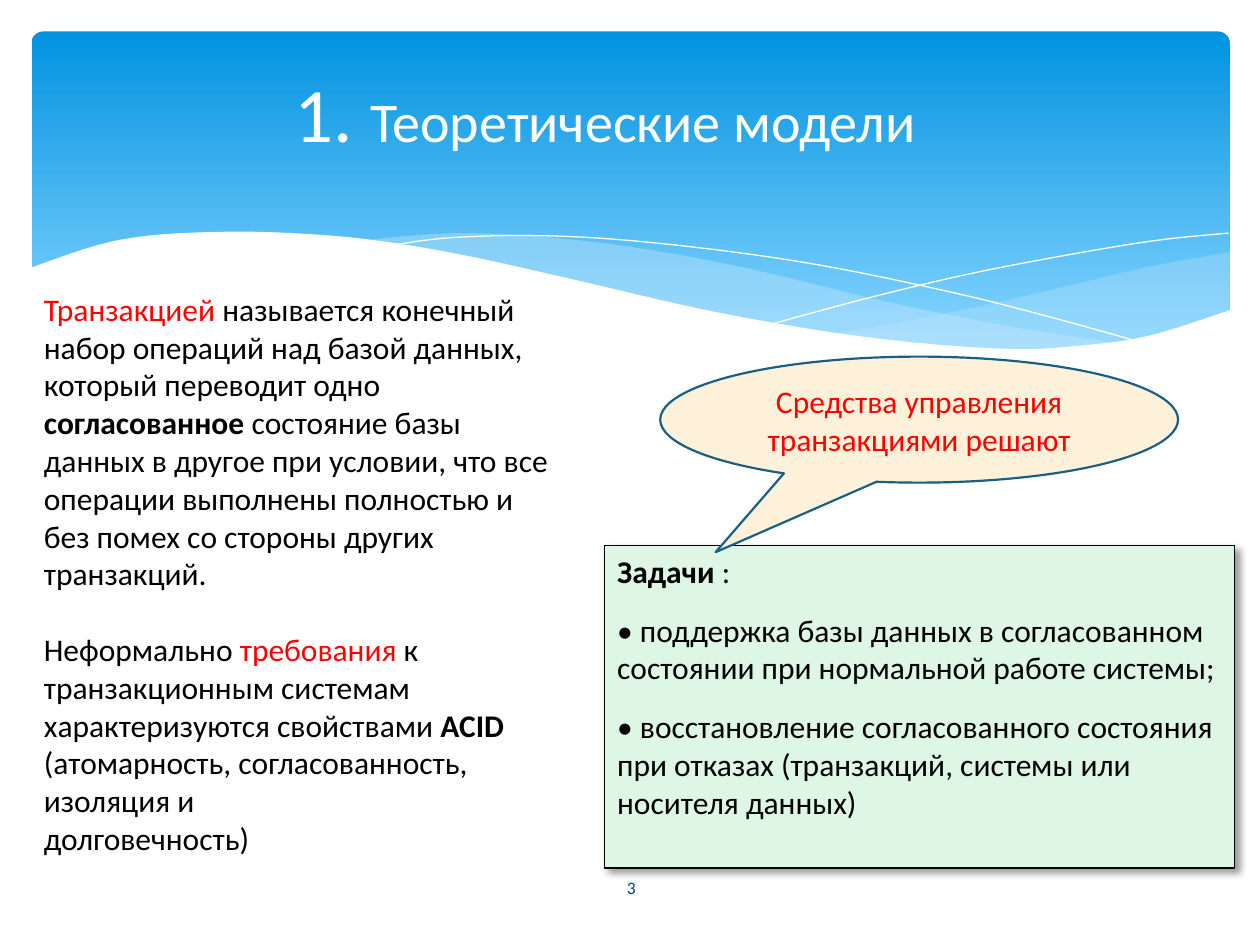
from dataclasses import dataclass

from lxml.etree import SubElement
from pptx import Presentation
from pptx.dml.color import RGBColor as RGB
from pptx.enum.shapes import MSO_SHAPE as SHAPE
from pptx.enum.text import MSO_ANCHOR as ANCHOR, PP_ALIGN as ALIGN
from pptx.oxml.ns import qn
from pptx.util import Pt


@dataclass(frozen=True)
class Theme:
    font: str = "Calibri"
    numeral_size: int = 44
    title_size: int = 32
    body_size: int = 18
    page_size: int = 10
    sky_top: RGB = RGB(0x02, 0x93, 0xE0)
    sky_bottom: RGB = RGB(0x83, 0xD3, 0xFE)
    wave: RGB = RGB(0xC6, 0xE7, 0xFC)
    white: RGB = RGB(255, 255, 255)
    black: RGB = RGB(0, 0, 0)
    red: RGB = RGB(255, 0, 0)
    page: RGB = RGB(0x07, 0x3E, 0x87)
    tasks: RGB = RGB(0xDE, 0xF6, 0xE4)
    callout: RGB = RGB(0xFD, 0xF2, 0xD9)
    callout_line: RGB = RGB(0x19, 0x5F, 0x84)


THEME = Theme()
RED = {"color": THEME.red}
BOLD = {"bold": True}

RIGHT_WAVE = [
    [(702.7, 144), (652.3, 153.4), (579.6, 170.6), (524.9, 182.2), (475.9, 190.8)],
    [(475.9, 190.8), (507.6, 195.1), (545, 198.7), (586.1, 200.2), (627.8, 197.3),
     (663.1, 190.8), (702.7, 177.8)],
]
LONG_WAVE = [
    [(643, 196.6), (581, 187.2), (508.3, 172.8), (430.6, 154.1), (370.1, 142.6),
     (318.2, 136.1), (259.9, 133.2), (205.9, 137.5)],
    [(205.9, 137.5), (260.6, 146.2), (323.3, 159.8), (407.5, 178.6), (478.8, 191.5),
     (538.6, 198.7), (589, 200.2), (643, 196.6)],
]
FALLING_LINE = [
    [(222.5, 140.4), (254.2, 136.1), (299.5, 134.6), (352.1, 136.8), (419, 144),
     (478.8, 153.4), (547.2, 167.8), (598.3, 180.7), (653, 195.8)],
]
RISING_LINE = [
    [(441.4, 185), (500.4, 169.2), (558.7, 155.5), (623.5, 143.3), (665.3, 136.8),
     (702, 133.2)],
]
WHITE_WAVE = [
    [(703.4, 177.1), (655.2, 192.2), (612, 198), (576.7, 199.4), (522.7, 195.8),
     (466.6, 188.6), (399.6, 176.4), (321.8, 158.4), (262.8, 145.4), (210.2, 136.8),
     (165.6, 133.2), (127.4, 132.5), (85.7, 134.6), (54.7, 140.4), (16.6, 153.4)],
    [(16.6, 236.9), (703.4, 236.9)],
]


def smooth_curve(knots, steps=6):
    """Sample a Catmull-Rom spline that passes through the knots."""
    padded = [knots[0], *knots, knots[-1]]
    points = [knots[0]]
    for a, b, c, d in zip(padded, padded[1:], padded[2:], padded[3:]):
        for step in range(1, steps + 1):
            t = step / steps
            points.append(tuple(
                (2 * q + (r - p) * t + (2 * p - 5 * q + 4 * r - s) * t ** 2
                 + (3 * q - p - 3 * r + s) * t ** 3) / 2
                for p, q, r, s in zip(a, b, c, d)))
    return points


def add_wave(slide, curves, fill=None, opacity=100):
    """Draw a filled wave, or an open white hairline when no fill is given."""
    points = [(Pt(x), Pt(y)) for curve in curves for x, y in smooth_curve(curve)]
    builder = slide.shapes.build_freeform(*points[0], scale=1.0)
    builder.add_line_segments(points[1:], close=fill is not None)
    wave = builder.convert_to_shape()
    wave.shadow.inherit = False
    if fill is None:
        wave.fill.background()
        wave.line.color.rgb = THEME.white
        wave.line.width = Pt(0)
        return
    wave.fill.solid()
    wave.fill.fore_color.rgb = fill
    wave.line.fill.background()
    if opacity < 100:
        color = wave.fill._xPr.find(qn("a:solidFill"))[0]
        SubElement(color, qn("a:alpha"), val=str(opacity * 1000))


def add_header(slide):
    sky = slide.shapes.add_shape(SHAPE.ROUNDED_RECTANGLE, Pt(18), Pt(18), Pt(684.7), Pt(194.4))
    sky.adjustments[0] = 0.034
    sky.shadow.inherit = False
    sky.line.fill.background()
    sky.fill.gradient()
    sky.fill.gradient_angle = 270
    stops = zip(sky.fill.gradient_stops, (0, 0.9), (THEME.sky_top, THEME.sky_bottom))
    for stop, position, color in stops:
        stop.position = position
        stop.color.rgb = color
    add_wave(slide, RIGHT_WAVE, THEME.wave, 29)
    add_wave(slide, LONG_WAVE, THEME.wave, 40)
    add_wave(slide, FALLING_LINE)
    add_wave(slide, RISING_LINE)
    add_wave(slide, WHITE_WAVE, THEME.white)


def write(shape, paragraphs, size=THEME.body_size, color=THEME.black, align=ALIGN.LEFT,
          anchor=ANCHOR.TOP, gaps=(), margin=None):
    """Fill a shape with paragraphs, each a list of (text, run style) pairs."""
    frame = shape.text_frame
    frame.word_wrap = True
    frame.vertical_anchor = anchor
    if margin is not None:
        frame.margin_left = frame.margin_right = Pt(margin)
        frame.margin_top = frame.margin_bottom = Pt(margin)
    for index, pieces in enumerate(paragraphs):
        paragraph = frame.add_paragraph() if index else frame.paragraphs[0]
        paragraph.alignment = align
        if index and gaps:
            paragraph.space_before = Pt(gaps[index - 1])
        paragraph.font.name = THEME.font
        paragraph.font.size = Pt(size)
        paragraph.font.color.rgb = color
        for text, style in pieces:
            run = paragraph.add_run()
            run.text = text
            if "color" in style:
                run.font.color.rgb = style["color"]
            if "bold" in style:
                run.font.bold = True
            if "size" in style:
                run.font.size = Pt(style["size"])


def add_text(slide, box, paragraphs, **layout):
    write(slide.shapes.add_textbox(*map(Pt, box)), paragraphs, **layout)


def add_panel(slide, kind, box, fill, line, width):
    panel = slide.shapes.add_shape(kind, *map(Pt, box))
    panel.shadow.inherit = False
    panel.fill.solid()
    panel.fill.fore_color.rgb = fill
    panel.line.color.rgb = line
    panel.line.width = Pt(width)
    return panel


def cast_shadow(panel):
    effects = panel._element.spPr.find(qn("a:effectLst"))
    shadow = SubElement(effects, qn("a:outerShdw"), blurRad=str(Pt(4)), dist=str(Pt(3)),
                        dir="2700000", algn="tl", rotWithShape="0")
    color = SubElement(shadow, qn("a:srgbClr"), val=str(THEME.black))
    SubElement(color, qn("a:alpha"), val="40000")


def main():
    deck = Presentation()
    deck.slide_width, deck.slide_height = Pt(720), Pt(540)
    slide = deck.slides.add_slide(deck.slide_layouts[6])
    add_header(slide)

    add_text(slide, (315, 492.5, 91.5, 28.8), [[("3", {})]], size=THEME.page_size,
             color=THEME.page, align=ALIGN.CENTER, anchor=ANCHOR.MIDDLE, margin=0)
    add_text(slide, (66.5, 36.5, 559, 55),
             [[("1. ", {"size": THEME.numeral_size}), ("Теоретические модели", {})]],
             size=THEME.title_size, color=THEME.white, align=ALIGN.CENTER,
             anchor=ANCHOR.MIDDLE, margin=0)
    add_text(slide, (18, 162, 306, 356.4), [
        [("Транзакцией", RED),
         (" называется конечный набор операций над базой данных, который переводит одно ", {}),
         ("согласованное", BOLD),
         (" состояние базы данных в другое при условии, что все операции выполнены "
          "полностью и без помех со стороны других транзакций.", {})],
        [("Неформально ", {}), ("требования", RED),
         (" к транзакционным системам характеризуются свойствами ", {}), ("ACID", BOLD),
         (" (атомарность, согласованность, изоляция и", {})],
        [("долговечность)", {})],
    ], gaps=(21.6, 0))

    tasks = add_panel(slide, SHAPE.RECTANGLE, (345.6, 311.8, 360, 184.3),
                      THEME.tasks, THEME.black, 0.75)
    cast_shadow(tasks)
    write(tasks, [
        [("Задачи", BOLD), (" :", {})],
        [("• поддержка базы данных в согласованном состоянии при нормальной "
          "работе системы;", {})],
        [("• восстановление согласованного состояния при отказах (транзакций, "
          "системы или носителя данных)", {})],
    ], gaps=(12, 12))

    callout = add_panel(slide, SHAPE.OVAL_CALLOUT, (377.3, 203.8, 295.9, 72),
                        THEME.callout, THEME.callout_line, 1.25)
    callout.adjustments[0], callout.adjustments[1] = -0.393, 1.052
    write(callout, [[("Средства управления транзакциями решают", {})]], color=THEME.red,
          align=ALIGN.CENTER, anchor=ANCHOR.MIDDLE)

    deck.save("out.pptx")


if __name__ == "__main__":
    main()
